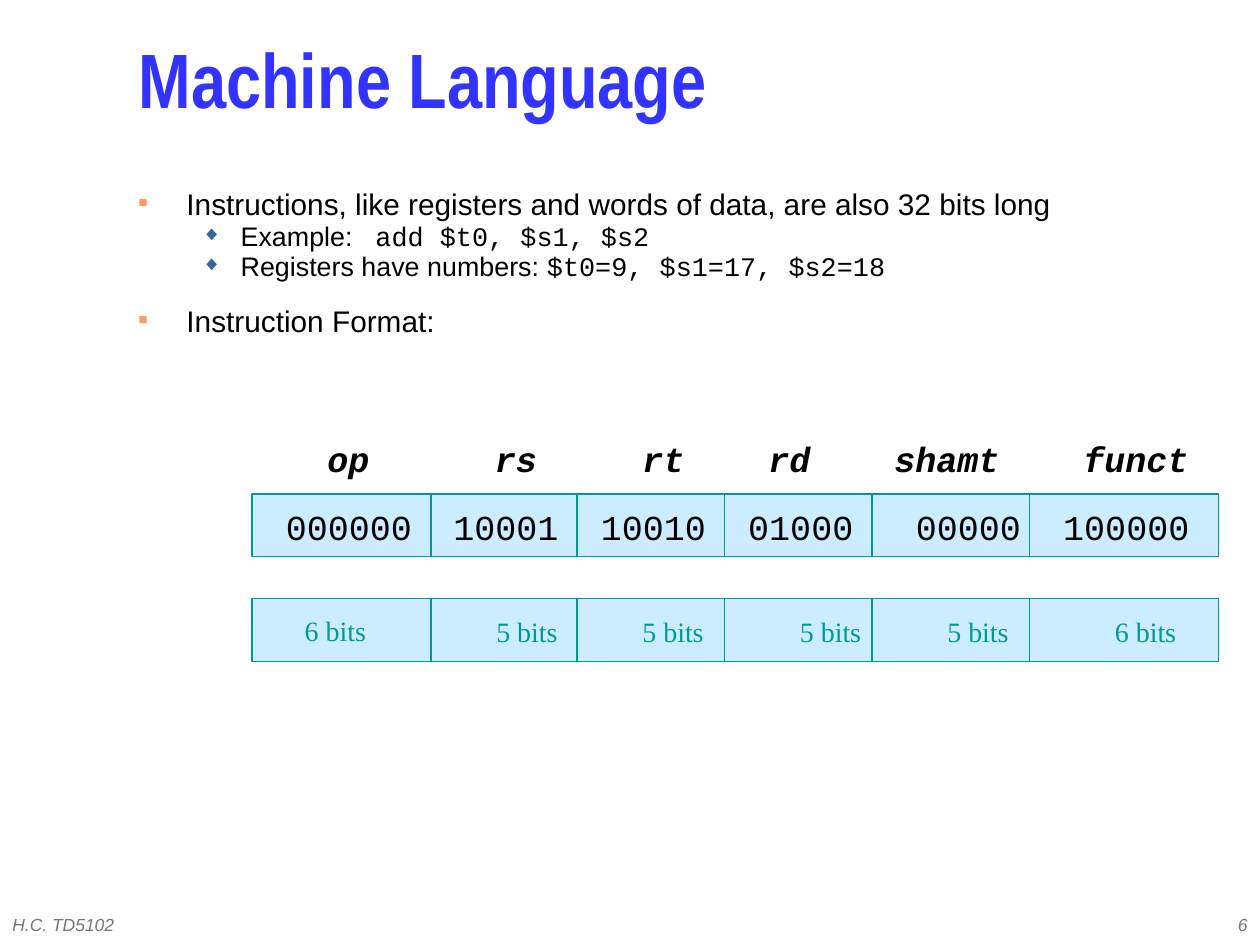
from lxml.etree import SubElement
from pptx import Presentation
from pptx.dml.color import RGBColor
from pptx.enum.shapes import MSO_CONNECTOR, MSO_SHAPE
from pptx.enum.text import MSO_ANCHOR, MSO_AUTO_SIZE, PP_ALIGN
from pptx.oxml.ns import qn
from pptx.util import Inches, Pt

BLUE = RGBColor(0x33, 0x33, 0xFF)
BLACK = RGBColor(0x01, 0x00, 0x00)
TEAL = RGBColor(0x00, 0x99, 0x99)
PALE_BLUE = RGBColor(0xCC, 0xEC, 0xFF)
GRAY = RGBColor(0x77, 0x77, 0x77)
ORANGE = RGBColor(0xFF, 0x99, 0x66)
STEEL = RGBColor(0x33, 0x66, 0x99)

presentation = Presentation()
presentation.slide_width, presentation.slide_height = Inches(10), Inches(7.5)
slide = presentation.slides.add_slide(presentation.slide_layouts[1])


def add_run(paragraph, text, color, **formats):
    run = paragraph.add_run()
    run.text = text
    run.font.color.rgb = color
    for name, value in formats.items():
        setattr(run.font, name, value)


def add_label(left, top, width, height, text, color, tabs=(), **formats):
    frame = slide.shapes.add_textbox(
        Inches(left), Inches(top), Inches(width), Inches(height)).text_frame
    frame.word_wrap = True
    paragraph = frame.paragraphs[0]
    if tabs:
        tab_list = SubElement(paragraph._p.get_or_add_pPr(), qn("a:tabLst"))
        for position in tabs:
            SubElement(tab_list, qn("a:tab"), pos=str(Inches(position)), algn="l")
    add_run(paragraph, text, color, **formats)
    return frame


# Footer and slide number
footer_format = {"name": "Arial", "size": Pt(10), "italic": True}
for left, width, text, alignment in [(0, 3.17, "H.C. TD5102", PP_ALIGN.LEFT),
                                     (7.92, 2.08, "6", PP_ALIGN.RIGHT)]:
    frame = add_label(left, 7.17, width, 0.33, text, GRAY, **footer_format)
    frame.vertical_anchor = MSO_ANCHOR.MIDDLE
    frame.paragraphs[0].alignment = alignment

# Title
title = slide.shapes.title
title.left, title.top, title.width, title.height = map(Inches, (1, 0.17, 8.58, 1.08))
title.text_frame.auto_size = MSO_AUTO_SIZE.NONE
title.text_frame.vertical_anchor = MSO_ANCHOR.MIDDLE
paragraph = title.text_frame.paragraphs[0]
paragraph.alignment = PP_ALIGN.LEFT
paragraph.line_spacing = 0.7
add_run(paragraph, "Machine Language", BLUE, name="Arial Narrow", size=Pt(44), bold=True)

# Bulleted list: level, space before, runs of (text, font)
body = slide.placeholders[1]
body.left, body.top, body.width, body.height = map(Inches, (1, 1.5, 9, 1.75))
body.text_frame.auto_size = MSO_AUTO_SIZE.NONE
bullets = [
    (0, 0, [("Instructions, like registers and words of data, are also 32 bits long", "Arial")]),
    (1, 4.5, [("Example:\t", "Arial"), ("add $t0, $s1, $s2", "Courier New")]),
    (1, 4.5, [("Registers have numbers: ", "Arial"),
              ("$t0=9, $s1=17, $s2=18", "Courier New")]),
    (0, 18, [("Instruction Format:", "Arial")]),
]
# Per level: left margin, hanging indent, bullet, bullet colour, bullet percent, text size
levels = [(0.38, 0.38, "■", ORANGE, 50, 17), (0.81, 0.31, "◆", STEEL, 75, 15.3)]
for index, (level, space, runs) in enumerate(bullets):
    paragraph = body.text_frame.paragraphs[0] if index == 0 else body.text_frame.add_paragraph()
    margin, hanging, character, color, percent, size = levels[level]
    paragraph.level = level
    paragraph.line_spacing = 0.7
    paragraph.space_before = Pt(space)
    properties = paragraph._p.get_or_add_pPr()
    properties.set("marL", str(Inches(margin)))
    properties.set("indent", str(-Inches(hanging)))
    SubElement(SubElement(properties, qn("a:buClr")), qn("a:srgbClr"), val=str(color))
    SubElement(properties, qn("a:buSzPct"), val=str(percent * 1000))
    SubElement(properties, qn("a:buFont"), typeface="Arial")
    SubElement(properties, qn("a:buChar"), char=character)
    if level:
        tab_list = SubElement(properties, qn("a:tabLst"))
        SubElement(tab_list, qn("a:tab"), pos=str(Inches(1.88)), algn="l")
    for text, font_name in runs:
        add_run(paragraph, text, BLACK, name=font_name, size=Pt(size))

# Instruction word bars with field dividers
BAR_HEIGHT = 0.5
for top in (3.92, 4.75):
    bar = slide.shapes.add_shape(
        MSO_SHAPE.RECTANGLE, Inches(2), Inches(top), Inches(7.67), Inches(BAR_HEIGHT))
    bar.shadow.inherit = False
    bar.fill.solid()
    bar.fill.fore_color.rgb = PALE_BLUE
    bar.line.color.rgb = TEAL
    bar.line.width = Pt(0.75)
    for x in (3.42, 4.58, 5.75, 6.92, 8.17):
        divider = slide.shapes.add_connector(
            MSO_CONNECTOR.STRAIGHT, Inches(x), Inches(top), Inches(x), Inches(top + BAR_HEIGHT))
        divider.line.color.rgb = TEAL
        divider.line.width = Pt(0.75)
        SubElement(divider._element.spPr, qn("a:effectLst"))

# Field widths, with no right inset so that each stays on one line
for left, top, bits in [(2.32, 4.82, 6), (3.84, 4.83, 5), (5, 4.83, 5),
                        (6.25, 4.83, 5), (7.42, 4.83, 5), (8.75, 4.83, 6)]:
    frame = add_label(left, top, 0.68, 0.37, f"{bits} bits", TEAL,
                      name="Times New Roman", size=Pt(16))
    frame.margin_right = 0

# Field values and names, spread over the fields by tab stops
values = add_label(2.17, 4, 7.37, 0.4, "000000\t10001\t10010\t01000\t00000\t100000", BLACK,
                   tabs=(1.33, 2.5, 3.67, 5, 6.17), name="Courier New", size=Pt(20))
values.paragraphs[0].line_spacing = 0.9
add_label(2.5, 3.42, 7.04, 0.44, "op\trs\trt\trd\tshamt\tfunct", BLACK,
          tabs=(1.33, 2.5, 3.5, 4.5, 6), name="Courier New", size=Pt(20),
          bold=True, italic=True)

presentation.save("out.pptx")
